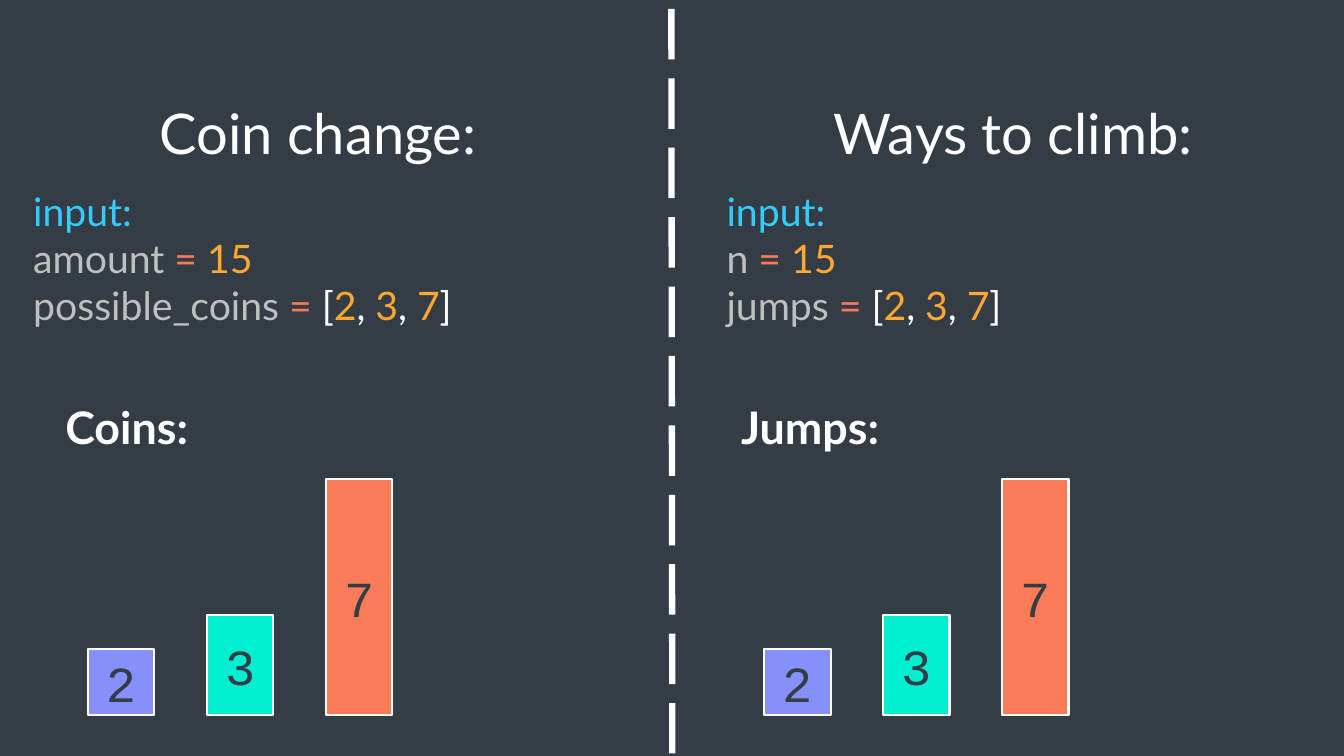
from dataclasses import dataclass

from lxml import etree
from pptx import Presentation
from pptx.dml.color import RGBColor
from pptx.enum.dml import MSO_LINE
from pptx.enum.shapes import MSO_CONNECTOR, MSO_SHAPE
from pptx.enum.text import MSO_ANCHOR, MSO_AUTO_SIZE, PP_ALIGN
from pptx.oxml.ns import qn
from pptx.util import Pt


@dataclass(frozen=True)
class Theme:
    background: str = "343D46"
    white: str = "FFFFFF"
    keyword: str = "33CCFF"
    name: str = "BFBFBF"
    operator: str = "F97B57"
    number: str = "FEA832"
    violet: str = "8690FA"
    mint: str = "00EFD1"
    coral: str = "F97B57"
    text_font: str = "Lato"
    bar_font: str = "Courier New"
    title_size: int = 40
    code_size: int = 28
    label_size: int = 32
    bar_size: int = 36


theme = Theme()


def add_run(paragraph, text, color, size, font=theme.text_font, bold=False):
    run = paragraph.add_run()
    run.text = text
    run.font.name = font
    run.font.size = Pt(size)
    run.font.bold = bold
    run.font.color.rgb = RGBColor.from_string(color)


def add_text(left, top, width, height, lines, size, align=PP_ALIGN.LEFT, bold=False):
    box = slide.shapes.add_textbox(Pt(left), Pt(top), Pt(width), Pt(height))
    frame = box.text_frame
    frame.word_wrap = True
    frame.auto_size = MSO_AUTO_SIZE.SHAPE_TO_FIT_TEXT
    for index, line in enumerate(lines):
        paragraph = frame.add_paragraph() if index else frame.paragraphs[0]
        paragraph.alignment = align
        for text, color in line:
            add_run(paragraph, text, color, size, bold=bold)


# Slide and background
presentation = Presentation()
presentation.slide_width, presentation.slide_height = Pt(960), Pt(540)
slide = presentation.slides.add_slide(presentation.slide_layouts[6])
slide.background.fill.solid()
slide.background.fill.fore_color.rgb = RGBColor.from_string(theme.background)

# The two problems: title, title left and width, variables, code left,
# label, label left, first bar left
problems = [
    ("Coin change:", 59.8, 334.8, "amount", "possible_coins", 16.6, "Coins:", 39.6, 62.8),
    ("Ways to climb:", 537.8, 371.5, "n", "jumps", 511.9, "Jumps:", 522.3, 545.8),
]
bars = [("2", 47.5, theme.violet), ("3", 72, theme.mint), ("7", 168.8, theme.coral)]
bar_width, bar_pitch, bar_bottom = 47.5, 85, 511

for (title, title_left, title_width, total, steps, code_left,
     label, label_left, bars_left) in problems:
    # Title
    add_text(title_left, 67, title_width, 55.7, [[(title, theme.white)]],
             theme.title_size, PP_ALIGN.CENTER)

    # Input code
    equals = ("=", theme.operator)
    number_list = [(" [", theme.white)]
    for index, (value, _, _) in enumerate(bars):
        if index:
            number_list.append((", ", theme.white))
        number_list.append((value, theme.number))
    number_list.append(("]", theme.white))
    code = [
        [("input:", theme.keyword)],
        [(f"{total} ", theme.name), equals, (" 15", theme.number)],
        [(f"{steps} ", theme.name), equals, *number_list],
    ]
    add_text(code_left, 130.3, 353.5, 109, code, theme.code_size)

    # Label above the bars
    add_text(label_left, 282.2, 126.7, 46, [[(label, theme.white)]],
             theme.label_size, bold=True)

    # Bars on a common baseline
    for index, (value, height, color) in enumerate(bars):
        bar = slide.shapes.add_shape(
            MSO_SHAPE.RECTANGLE, Pt(bars_left + index * bar_pitch),
            Pt(bar_bottom - height), Pt(bar_width), Pt(height))
        bar.shadow.inherit = False
        bar.fill.solid()
        bar.fill.fore_color.rgb = RGBColor.from_string(color)
        bar.line.color.rgb = RGBColor.from_string(theme.white)
        bar.line.width = Pt(1.5)
        bar.text_frame.vertical_anchor = MSO_ANCHOR.MIDDLE
        paragraph = bar.text_frame.paragraphs[0]
        paragraph.alignment = PP_ALIGN.CENTER
        add_run(paragraph, value, theme.background, theme.bar_size, theme.bar_font)

# Dashed divider
divider = slide.shapes.add_connector(
    MSO_CONNECTOR.STRAIGHT, Pt(479.5), Pt(-43.2), Pt(480.3), Pt(583.2))
divider.line.color.rgb = RGBColor.from_string(theme.white)
divider.line.width = Pt(4.5)
divider.line.dash_style = MSO_LINE.LONG_DASH
etree.SubElement(divider._element.spPr, qn("a:effectLst"))

presentation.save("out.pptx")
